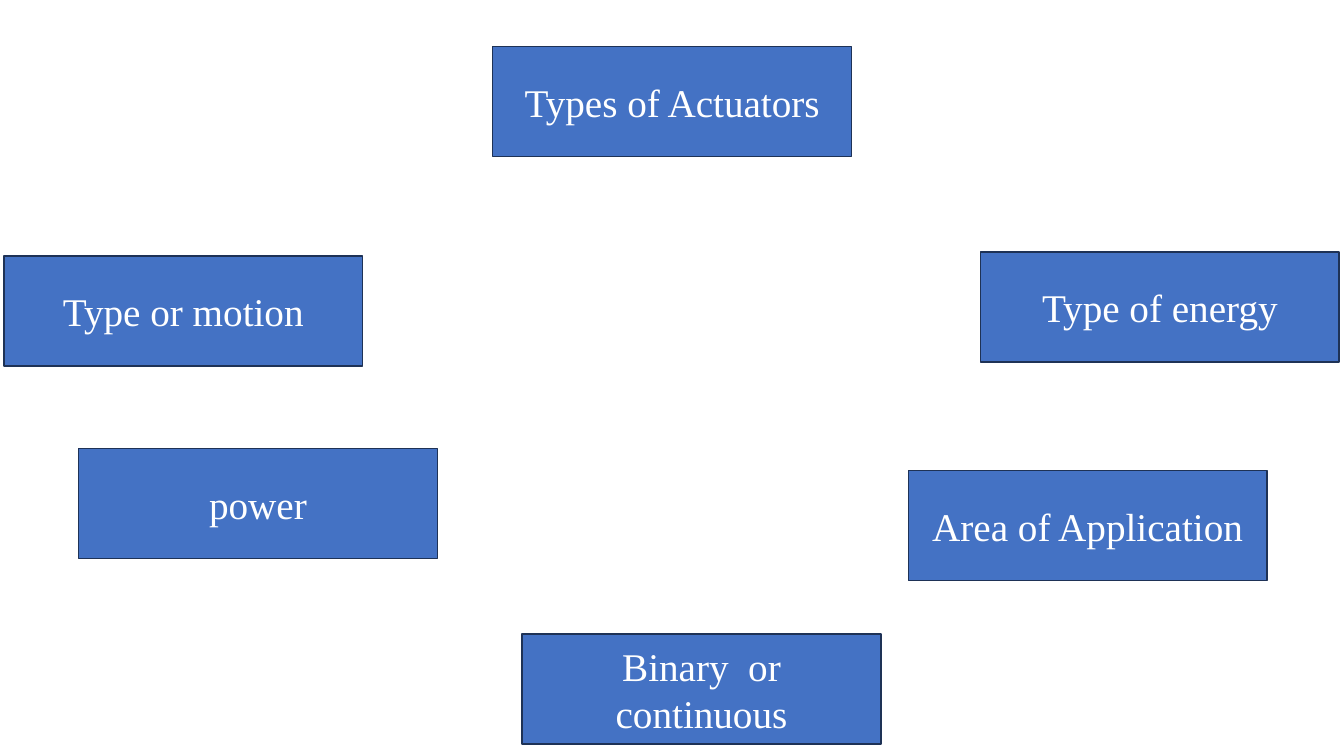
from dataclasses import dataclass

from pptx import Presentation
from pptx.dml.color import RGBColor
from pptx.enum.shapes import MSO_SHAPE
from pptx.enum.text import MSO_ANCHOR, PP_ALIGN
from pptx.slide import Slide
from pptx.util import Cm, Pt

BLUE = RGBColor(0x44, 0x72, 0xC4)
NAVY = RGBColor(0x1E, 0x32, 0x56)
WHITE = RGBColor(0xFF, 0xFF, 0xFF)

BOX_WIDTH = Cm(9.04)
BOX_HEIGHT = Cm(2.77)


@dataclass(frozen=True)
class Box:
    """A labelled box; left and top are in centimetres."""
    text: str
    left: float
    top: float


BOXES = [
    Box("Types of Actuators", 12.42, 1.17),
    Box("Type or motion", 0.1, 6.45),
    Box("power", 1.98, 11.3),
    Box("Binary  or continuous", 13.16, 15.98),
    Box("Area of Application", 22.89, 11.86),
    Box("Type of energy", 24.71, 6.35),
]


def draw_box(slide: Slide, box: Box) -> None:
    shape = slide.shapes.add_shape(
        MSO_SHAPE.RECTANGLE, Cm(box.left), Cm(box.top), BOX_WIDTH, BOX_HEIGHT
    )
    shape.shadow.inherit = False
    shape.fill.solid()
    shape.fill.fore_color.rgb = BLUE
    shape.line.color.rgb = NAVY
    shape.line.width = Pt(1)

    text_frame = shape.text_frame
    text_frame.word_wrap = True
    text_frame.vertical_anchor = MSO_ANCHOR.MIDDLE
    paragraph = text_frame.paragraphs[0]
    paragraph.text = box.text
    paragraph.alignment = PP_ALIGN.CENTER
    paragraph.font.name = "Times New Roman"
    paragraph.font.size = Pt(28)
    paragraph.font.color.rgb = WHITE


def main() -> None:
    presentation = Presentation()
    presentation.slide_width = Cm(33.87)
    presentation.slide_height = Cm(19.05)
    slide = presentation.slides.add_slide(presentation.slide_layouts[6])
    for box in BOXES:
        draw_box(slide, box)
    presentation.save("out.pptx")


if __name__ == "__main__":
    main()
